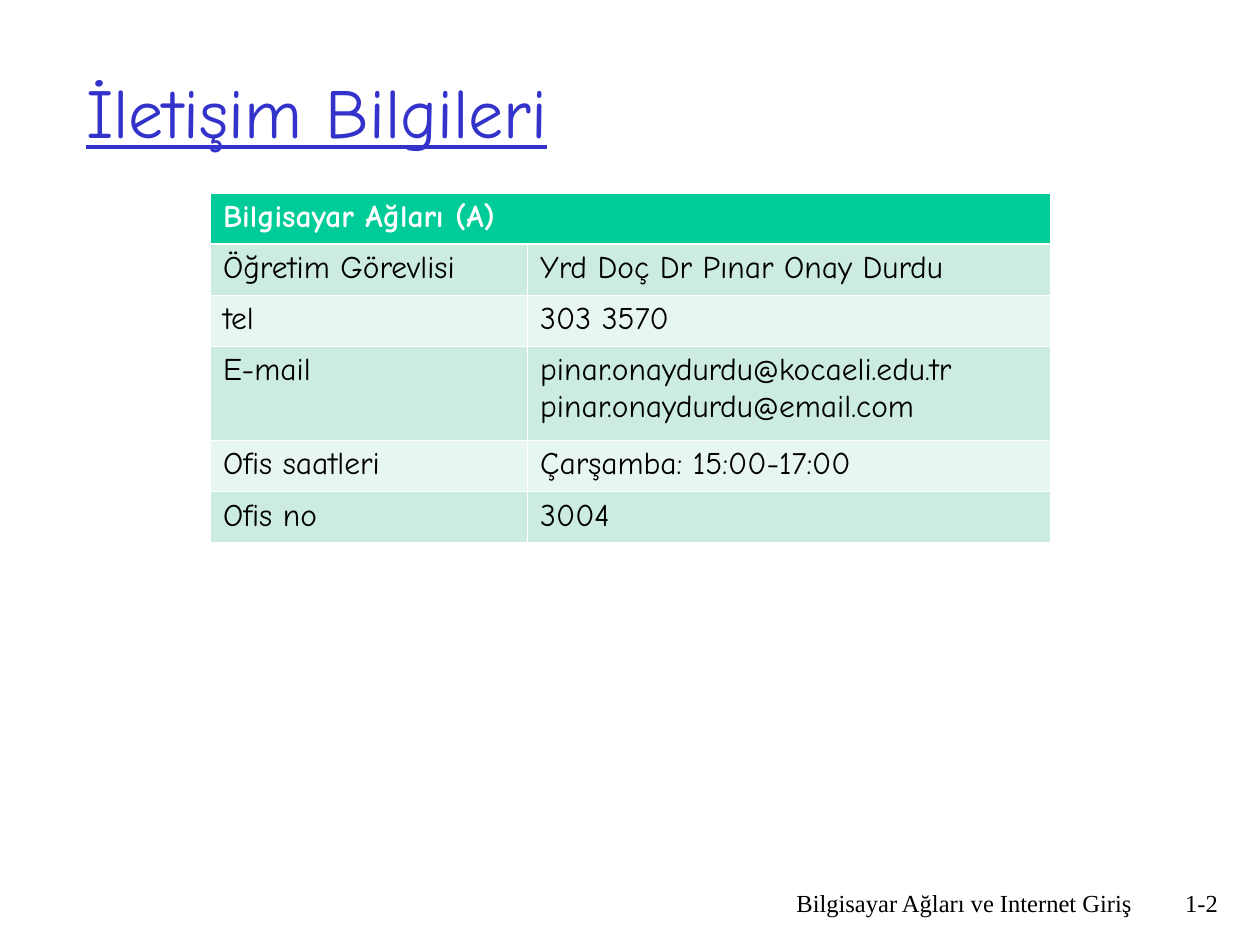
import pptx
import pptx.dml.color
import pptx.enum.text
import pptx.oxml.ns
import pptx.util
from lxml import etree

Pt = pptx.util.Pt
PP_ALIGN = pptx.enum.text.PP_ALIGN
MSO_ANCHOR = pptx.enum.text.MSO_ANCHOR
qn = pptx.oxml.ns.qn

COLORS = {
    "title": "3333CC",
    "text": "000000",
    "white": "FFFFFF",
    "header": "00CC99",
    "band_dark": "CBECDE",
    "band_light": "E7F6EF",
}


class SlideBuilder:
    body_font = "Comic Neue"
    footer_font = "Times New Roman"
    thin, thick = 0.45, 1.47

    def __init__(self, slide):
        self.s = slide

    def rgb(self, name):
        return pptx.dml.color.RGBColor.from_string(COLORS[name])

    def format_runs(self, tf, font, size, color, **options):
        for p in tf.paragraphs:
            for r in p.runs:
                r.font.name = font
                r.font.size = Pt(size)
                r.font.color.rgb = self.rgb(color)
                for key, value in options.items():
                    setattr(r.font, key, value)

    def place(self, sp, x, y, w, h):
        sp.left, sp.top, sp.width, sp.height = Pt(x), Pt(y), Pt(w), Pt(h)

    def title(self, text, x, y, w, h):
        sp = self.s.shapes.title
        self.place(sp, x, y, w, h)
        tf = sp.text_frame
        tf.text = text
        tf.word_wrap = True
        tf.auto_size = pptx.enum.text.MSO_AUTO_SIZE.NONE
        tf.vertical_anchor = MSO_ANCHOR.MIDDLE
        tf.paragraphs[0].alignment = PP_ALIGN.LEFT
        self.format_runs(tf, self.body_font, 40, "title", underline=True)

    def footer(self, text, x, y, w, h):
        tf = self.s.shapes.add_textbox(Pt(x), Pt(y), Pt(w), Pt(h)).text_frame
        tf.text = text
        tf.word_wrap = True
        tf.paragraphs[0].alignment = PP_ALIGN.RIGHT
        self.format_runs(tf, self.footer_font, 14, "text")

    def borders(self, cell, row):
        widths = {
            "lnL": self.thin,
            "lnR": self.thin,
            "lnT": self.thick if row == 1 else self.thin,
            "lnB": self.thick if row == 0 else self.thin,
        }
        tc_pr = cell._tc.get_or_add_tcPr()
        for tag, width in widths.items():
            ln = etree.SubElement(tc_pr, qn(f"a:{tag}"), w=str(int(Pt(width))))
            fill = etree.SubElement(ln, qn("a:solidFill"))
            etree.SubElement(fill, qn("a:srgbClr"), val=COLORS["white"])

    def table(self, rows, x, y, widths, heights):
        frame = self.s.shapes.add_table(len(rows), len(widths), Pt(x), Pt(y),
                                        Pt(sum(widths)), Pt(sum(heights)))
        table = frame.table
        for col, width in zip(table.columns, widths):
            col.width = Pt(width)
        for i, (texts, height) in enumerate(zip(rows, heights)):
            table.rows[i].height = Pt(height)
            header = i == 0
            band = "header" if header else ("band_light", "band_dark")[i % 2]
            for j, text in enumerate(texts):
                cell = table.cell(i, j)
                self.borders(cell, i)
                cell.fill.solid()
                cell.fill.fore_color.rgb = self.rgb(band)
                cell.text_frame.text = text
                self.format_runs(cell.text_frame, self.body_font, 18,
                                 "white" if header else "text", bold=header)
        table.cell(0, 0).merge(table.cell(0, len(widths) - 1))


def main():
    prs = pptx.Presentation()
    prs.slide_width, prs.slide_height = Pt(720), Pt(540)
    builder = SlideBuilder(prs.slides.add_slide(prs.slide_layouts[5]))

    # Footer and page number
    builder.footer("Bilgisayar Ağları ve Internet Giriş", 426, 504, 228, 36)
    builder.footer("1-2", 654, 504, 49, 36)

    # Title
    builder.title("İletişim Bilgileri", 42, 18, 612, 90)

    # Contact table
    contacts = [
        ("Bilgisayar Ağları (A)", ""),
        ("Öğretim Görevlisi", "Yrd Doç Dr Pınar Onay Durdu"),
        ("tel", "303 3570"),
        ("E-mail", "pinar.onaydurdu@kocaeli.edu.tr\npinar.onaydurdu@email.com"),
        ("Ofis saatleri", "Çarşamba: 15:00-17:00"),
        ("Ofis no", "3004"),
    ]
    builder.table(contacts, 120.25, 110.25, [181.25, 298.75],
                  [29.2, 29.2, 29.2, 53.8, 29.2, 29.2])

    prs.save("out.pptx")


if __name__ == "__main__":
    main()
